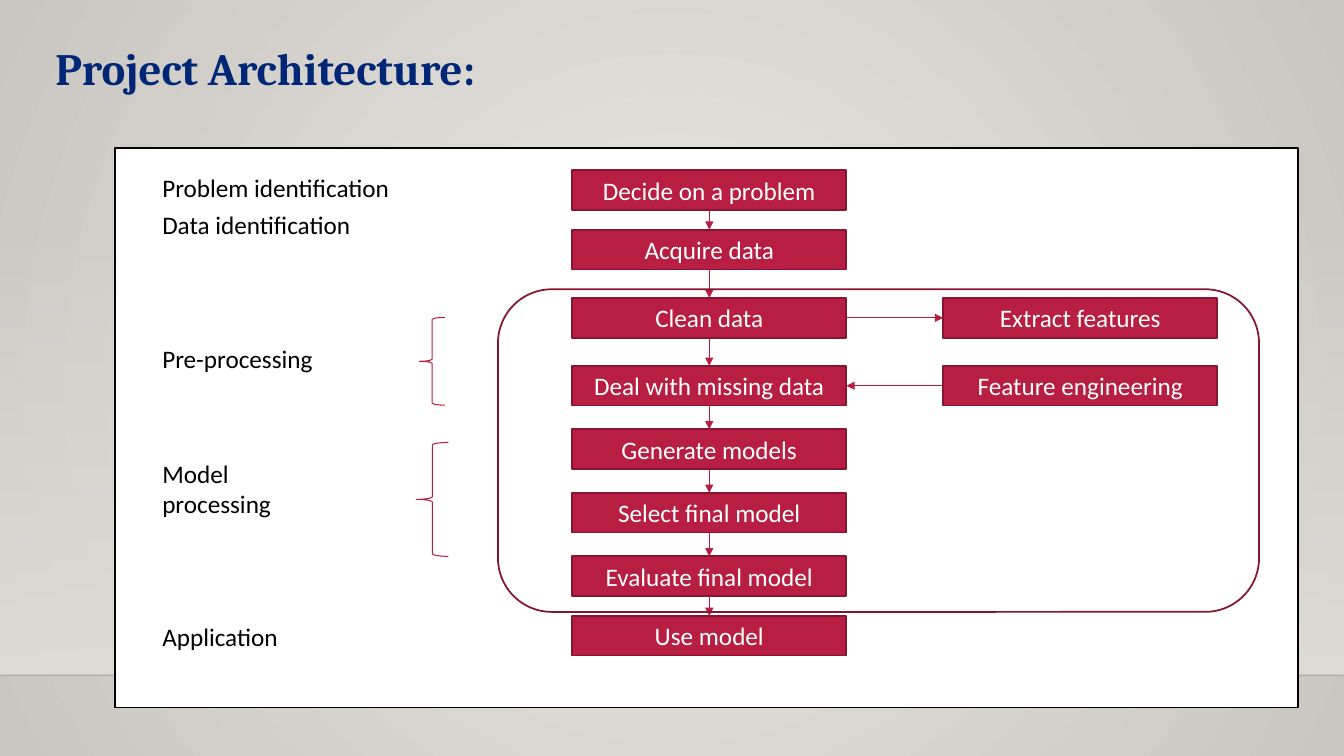
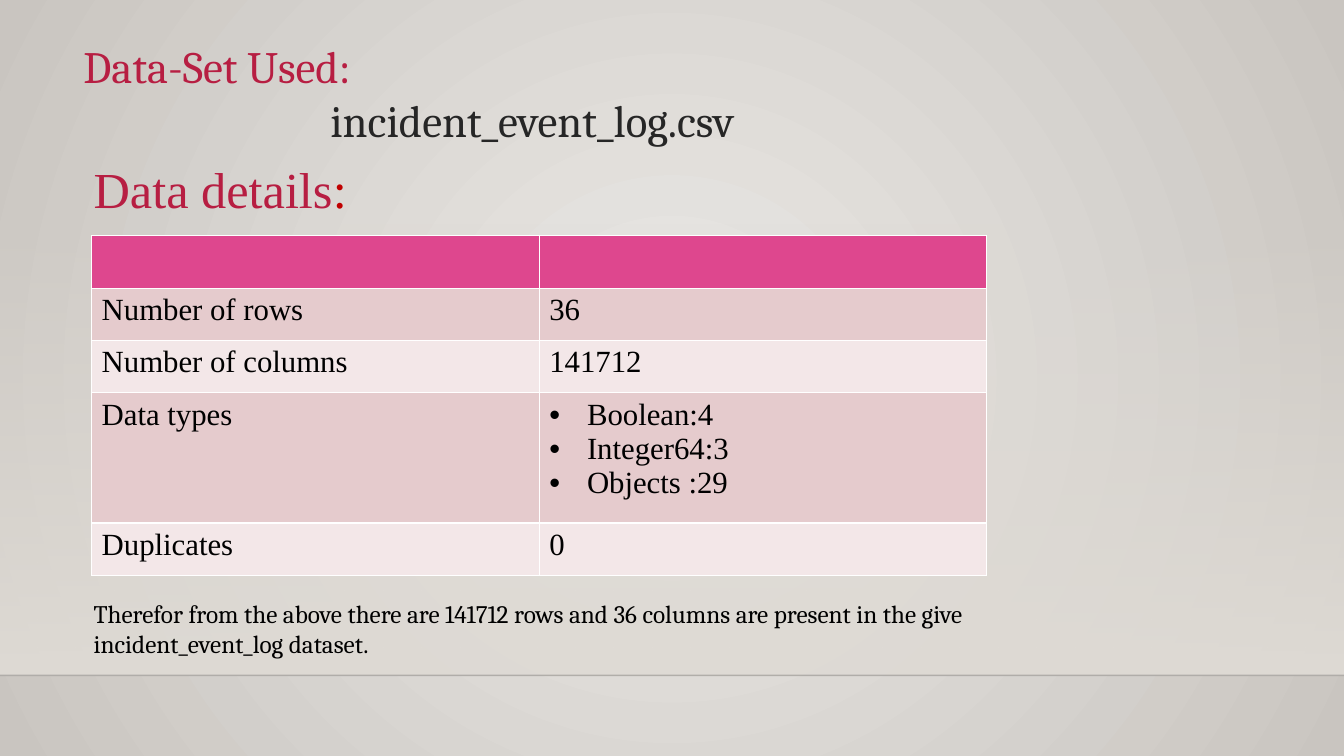
"""Builds two slides: a project flow chart and a data-set summary."""
from lxml import etree
from pptx import Presentation
from pptx.dml.color import RGBColor
from pptx.enum.shapes import MSO_CONNECTOR, MSO_SHAPE
from pptx.enum.text import MSO_ANCHOR, PP_ALIGN
from pptx.oxml.ns import qn
from pptx.util import Cm, Pt

RECT, ROUND, BRACE = MSO_SHAPE.RECTANGLE, MSO_SHAPE.ROUNDED_RECTANGLE, MSO_SHAPE.LEFT_BRACE
STRAIGHT = MSO_CONNECTOR.STRAIGHT
LEFT, CENTER = PP_ALIGN.LEFT, PP_ALIGN.CENTER
TOP, MIDDLE = MSO_ANCHOR.TOP, MSO_ANCHOR.MIDDLE
BOTTOM_SIDE, LEFT_SIDE, RIGHT_SIDE, TOP_SIDE = 2, 1, 3, 0

WIDTH, HEIGHT = 33.87, 19.05
BAND_TOP, FLOOR = 5.61, 17.02
RED, DARK_RED, BLACK, WHITE = "B71E42", "851530", "000000", "FFFFFF"
BACKDROP = ("EBE9E6", "C9C5C0")
BAND = "DFDBD5"
HEADER_FILL, ROW_FILLS = "DE478E", ("E5CBCD", "F3E7E8")

TITLE = {"name": "Cambria", "size": Pt(32), "color": RED}
NAVY_TITLE = {**TITLE, "color": "002776", "bold": True}
FILE_TITLE = {**TITLE, "color": "262626"}
LABEL = {"name": "Calibri", "size": Pt(18), "color": BLACK}
STEP = {**LABEL, "color": WHITE}
NOTE = {**LABEL, "name": "Cambria"}
HEADING = {"name": "Times New Roman", "size": Pt(36), "color": RED}
HEADING_COLON = {**HEADING, "color": "C00000"}
CELL = {"name": "Times New Roman", "size": Pt(22), "color": BLACK}

STEP_W, STEP_H, STEP_X, SIDE_X = 6.91, 1, 14.42, 23.77
STEPS = [
    ("Decide on a problem", 4.29),
    ("Acquire data", 5.79),
    ("Clean data", 7.51),
    ("Deal with missing data", 9.22),
    ("Generate models", 10.82),
    ("Select final model", 12.42),
    ("Evaluate final model", 14.02),
    ("Use model", 15.52),
]
SIDE_STEPS = [("Extract features", 2), ("Feature engineering", 3)]
PANEL = (2.9, 3.73, 29.82, 14.1)
FRAME = (12.55, 7.29, 19.18, 8.13)
BRACES = [(10.57, 8, 0.64, 2.21), (10.49, 11.15, 0.81, 2.87)]
LABEL_X, LABEL_W = 3.84, 6.3
LABELS = [
    (["Problem identification"], 4.22),
    (["Data identification"], 5.16),
    (["Pre-processing"], 8.53),
    (["Model", "processing"], 11.43),
    (["Application"], 15.52),
]

TABLE_X, TABLE_Y, COL_W = 2.31, 5.94, 11.28
ROW_H, TALL_ROW_H = 1.32, 3.28
DATA = [
    ("Number of rows", ["36"]),
    ("Number of columns", ["141712"]),
    ("Data types", ["Boolean:4", "Integer64:3", "Objects :29"]),
    ("Duplicates", ["0"]),
]
CONCLUSION = ("Therefor from the above there are 141712 rows and 36 columns are present "
              "in the give incident_event_log dataset.")


def rgb(hex_color):
    return RGBColor.from_string(hex_color)


def style(font, fmt):
    for key, value in fmt.items():
        if key == "color":
            font.color.rgb = rgb(value)
        else:
            setattr(font, key, value)


def write(tf, paragraphs, align=LEFT, anchor=TOP):
    """Fill a text frame; each paragraph is a list of (text, format) runs."""
    tf.word_wrap = True
    tf.vertical_anchor = anchor
    for i, runs in enumerate(paragraphs):
        p = tf.paragraphs[0] if i == 0 else tf.add_paragraph()
        p.alignment = align
        for text, fmt in runs:
            r = p.add_run()
            r.text = text
            style(r.font, fmt)


def add_title(s, box, paragraphs):
    sp = s.shapes.title
    sp.left, sp.top, sp.width, sp.height = map(Cm, box)
    write(sp.text_frame, paragraphs)
    return sp


def add_text(s, box, paragraphs):
    write(s.shapes.add_textbox(*map(Cm, box)).text_frame, paragraphs)


def add_shape(s, kind, box, fill=None, line=None, width=1.25):
    sp = s.shapes.add_shape(kind, *map(Cm, box))
    sp.shadow.inherit = False
    if fill:
        sp.fill.solid()
        sp.fill.fore_color.rgb = rgb(fill)
    else:
        sp.fill.background()
    if line:
        sp.line.color.rgb = rgb(line)
        sp.line.width = Pt(width)
    else:
        sp.line.fill.background()
    return sp


def add_line(s, ends, color, width):
    line = s.shapes.add_connector(STRAIGHT, *map(Cm, ends))
    line.line.color.rgb = rgb(color)
    line.line.width = Pt(width)
    etree.SubElement(line.element.spPr, qn("a:effectLst"))
    return line


def add_arrow(s, start, start_side, end, end_side):
    arrow = add_line(s, (0, 0, 0, 0), RED, 0.75)
    arrow.begin_connect(start, start_side)
    arrow.end_connect(end, end_side)
    etree.SubElement(arrow.line._get_or_add_ln(), qn("a:tailEnd"), type="triangle")


def add_step(s, text, x, y):
    sp = add_shape(s, RECT, (x, y, STEP_W, STEP_H), RED, DARK_RED)
    write(sp.text_frame, [[(text, STEP)]], CENTER, MIDDLE)
    return sp


def set_gradient(fill, colors):
    fill.gradient()
    for stop, color, position in zip(fill.gradient_stops, colors, (0, 1)):
        stop.color.rgb = rgb(color)
        stop.position = position


def set_alpha(element, percent):
    color = next(element.iter(qn("a:srgbClr")))
    etree.SubElement(color, qn("a:alpha"), val=str(percent * 1000))


def decorate_master(prs, s):
    """Give the master its backdrop, band and floor line, drawn by way of slide s."""
    master = prs.slide_master
    set_gradient(master.background.fill, BACKDROP)
    linear = next(master.element.cSld.iter(qn("a:lin")))
    circle = etree.Element(qn("a:path"), path="circle")
    etree.SubElement(circle, qn("a:fillToRect"), {side: "50000" for side in "ltrb"})
    linear.getparent().replace(linear, circle)

    band = add_shape(s, RECT, (0, BAND_TOP, WIDTH, FLOOR - BAND_TOP))
    set_gradient(band.fill, (BAND, BAND))
    next(band.element.iter(qn("a:lin"))).set("ang", "5400000")
    set_alpha(band.element, 0)
    floor = add_line(s, (0, FLOOR, WIDTH, FLOOR), "000001", 1)
    set_alpha(floor.element, 20)
    for i, sp in enumerate((band, floor)):
        next(sp.element.iter(qn("p:cNvPr"))).set("id", str(20 + i))
        master.shapes.element.insert(2 + i, sp.element)


def build_architecture(s):
    add_title(s, (1.14, 0.89, 24.82, 4.37), [[("Project Architecture:", NAVY_TITLE)]])
    add_shape(s, RECT, PANEL, WHITE, BLACK)
    steps = [add_step(s, text, STEP_X, y) for text, y in STEPS]
    extract, engineer = [add_step(s, text, SIDE_X, STEPS[row][1]) for text, row in SIDE_STEPS]
    for upper, lower in zip(steps, steps[1:]):
        add_arrow(s, upper, BOTTOM_SIDE, lower, TOP_SIDE)
    add_arrow(s, steps[2], RIGHT_SIDE, extract, LEFT_SIDE)
    add_arrow(s, engineer, LEFT_SIDE, steps[3], RIGHT_SIDE)
    add_shape(s, ROUND, FRAME, line=DARK_RED)
    for box in BRACES:
        add_shape(s, BRACE, box, line=RED, width=0.75)
    for lines, y in LABELS:
        add_text(s, (LABEL_X, y, LABEL_W, 0.25 + 0.77 * len(lines)),
                 [[(text, LABEL)] for text in lines])


def add_bullet(p):
    pPr = p._p.get_or_add_pPr()
    pPr.set("marL", str(Cm(0.95)))
    pPr.set("indent", str(-Cm(0.95)))
    etree.SubElement(pPr, qn("a:buFont"), typeface="Arial")
    etree.SubElement(pPr, qn("a:buChar"), char="•")


def add_data_table(s):
    rows = [("", [""])] + DATA
    table = s.shapes.add_table(len(rows), 2, Cm(TABLE_X), Cm(TABLE_Y),
                               Cm(2 * COL_W), Cm(ROW_H * len(rows))).table
    for col in table.columns:
        col.width = Cm(COL_W)
    for i, (name, values) in enumerate(rows):
        table.rows[i].height = Cm(TALL_ROW_H if len(values) > 1 else ROW_H)
        for cell, lines in zip(table.rows[i].cells, ([name], values)):
            cell.fill.solid()
            cell.fill.fore_color.rgb = rgb(ROW_FILLS[(i - 1) % 2] if i else HEADER_FILL)
            if i:
                write(cell.text_frame, [[(text, CELL)] for text in lines])
            if len(lines) > 1:
                for p in cell.text_frame.paragraphs:
                    add_bullet(p)


def build_data_set(s):
    title = add_title(s, (1.85, 0.86, 28.14, 3), [
        [("Data-Set Used:", TITLE)],
        [("incident_event_log.csv", FILE_TITLE)],
    ])
    title.text_frame.paragraphs[1]._p.get_or_add_pPr().set("marL", str(Cm(6.22)))
    add_text(s, (2.11, 3.86, 24.33, 2.57),
             [[("Data details", HEADING), (":", HEADING_COLON)]])
    add_data_table(s)
    add_text(s, (2.11, 14.94, 25.65, 4.11), [[(CONCLUSION, NOTE)]])


def main():
    prs = Presentation()
    prs.slide_width, prs.slide_height = Cm(WIDTH), Cm(HEIGHT)
    title_only = prs.slide_layouts[5]
    slides = [prs.slides.add_slide(title_only) for _ in range(2)]
    decorate_master(prs, slides[0])
    build_architecture(slides[0])
    build_data_set(slides[1])
    prs.save("out.pptx")


if __name__ == "__main__":
    main()
